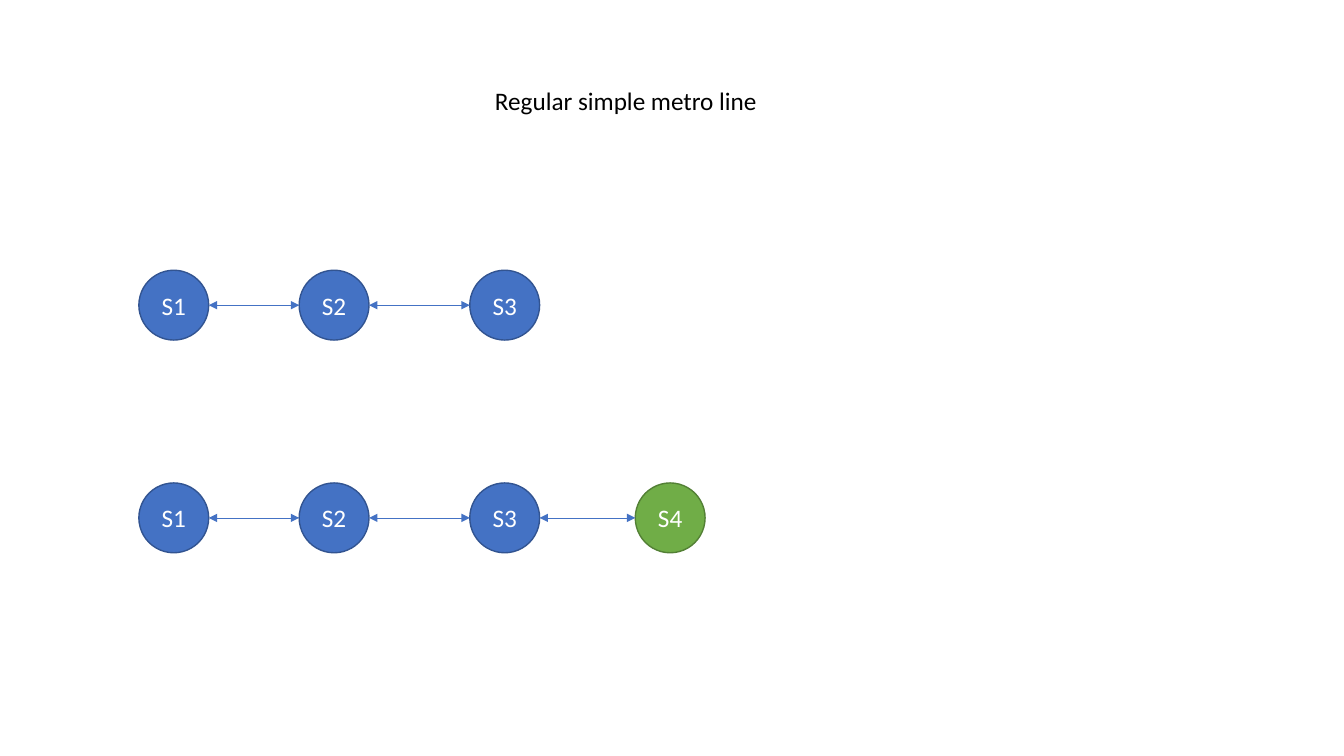
from itertools import pairwise

from lxml.etree import SubElement
from pptx import Presentation
from pptx.dml.color import RGBColor
from pptx.enum.shapes import MSO_CONNECTOR, MSO_SHAPE
from pptx.enum.text import MSO_ANCHOR as Anchor, MSO_AUTO_SIZE as AutoSize, PP_ALIGN as Align
from pptx.oxml.ns import qn
from pptx.util import Cm, Pt

COLORS = {
    "text": "000000",
    "label": "FFFFFF",
    "track": "4472C4",
    "station": "4472C4",
    "station_edge": "325491",
    "added": "70AD47",
    "added_edge": "538035",
}
DIAMETER = 1.76
STATION_LEFTS = {"S1": 3.5, "S2": 7.54, "S3": 11.84, "S4": 16.01}
METRO_LINES = [(6.81, ["S1", "S2", "S3"]), (12.17, ["S1", "S2", "S3", "S4"])]
ADDED_STATION = "S4"


def color(name):
    return RGBColor.from_string(COLORS[name])


def format_text(paragraph, color_name, alignment):
    paragraph.alignment = alignment
    paragraph.font.name = "Calibri"
    paragraph.font.size = Pt(18)
    paragraph.font.color.rgb = color(color_name)


def set_title(slide, text):
    title = slide.shapes.title
    title.left, title.top, title.width, title.height = Cm(12.22), Cm(2.03), Cm(7.19), Cm(1.03)
    frame = title.text_frame
    frame.text = text
    frame.word_wrap = False
    frame.auto_size = AutoSize.NONE
    frame.vertical_anchor = Anchor.TOP
    format_text(frame.paragraphs[0], "text", Align.LEFT)


def add_station(slide, name, top):
    kind = "added" if name == ADDED_STATION else "station"
    shape = slide.shapes.add_shape(
        MSO_SHAPE.FLOWCHART_CONNECTOR,
        Cm(STATION_LEFTS[name]), Cm(top), Cm(DIAMETER), Cm(DIAMETER),
    )
    shape.shadow.inherit = False
    shape.fill.solid()
    shape.fill.fore_color.rgb = color(kind)
    shape.line.color.rgb = color(f"{kind}_edge")
    shape.line.width = Pt(1)
    frame = shape.text_frame
    frame.text = name
    frame.vertical_anchor = Anchor.MIDDLE
    format_text(frame.paragraphs[0], "label", Align.CENTER)


def add_track(slide, start, end, top):
    middle = Cm(top + DIAMETER / 2)
    track = slide.shapes.add_connector(
        MSO_CONNECTOR.STRAIGHT,
        Cm(STATION_LEFTS[start] + DIAMETER), middle, Cm(STATION_LEFTS[end]), middle,
    )
    track.line.color.rgb = color("track")
    track.line.width = Pt(0.5)
    line = track.line._get_or_add_ln()
    for arrowhead in ("a:headEnd", "a:tailEnd"):
        SubElement(line, qn(arrowhead), type="triangle")
    SubElement(track._element.spPr, qn("a:effectLst"))


def add_metro_line(slide, top, stations):
    for name in stations:
        add_station(slide, name, top)
    for start, end in pairwise(stations):
        add_track(slide, start, end, top)


def main():
    """Build the slide with a metro line before and after its extension."""
    presentation = Presentation()
    presentation.slide_width, presentation.slide_height = Cm(33.87), Cm(19.05)
    slide = presentation.slides.add_slide(presentation.slide_layouts.get_by_name("Title Only"))
    set_title(slide, "Regular simple metro line")
    for top, stations in METRO_LINES:
        add_metro_line(slide, top, stations)
    presentation.save("out.pptx")


if __name__ == "__main__":
    main()
